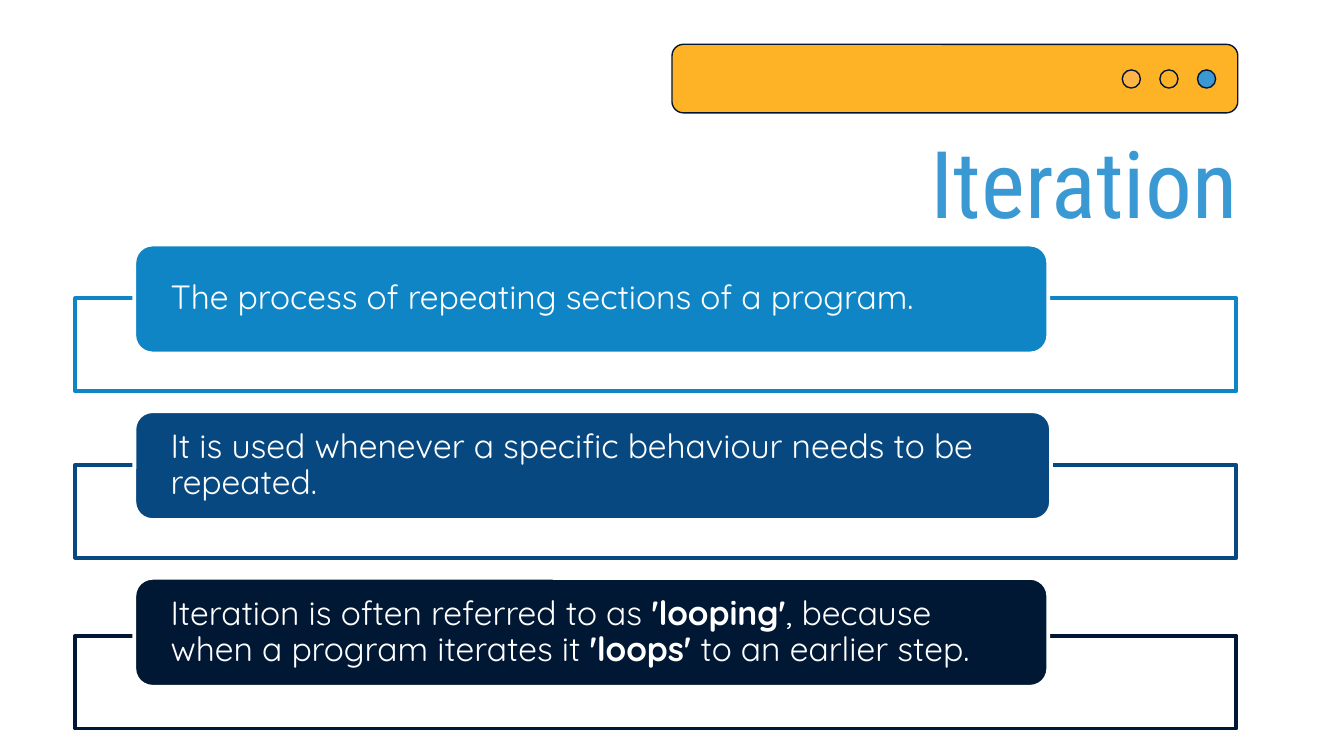
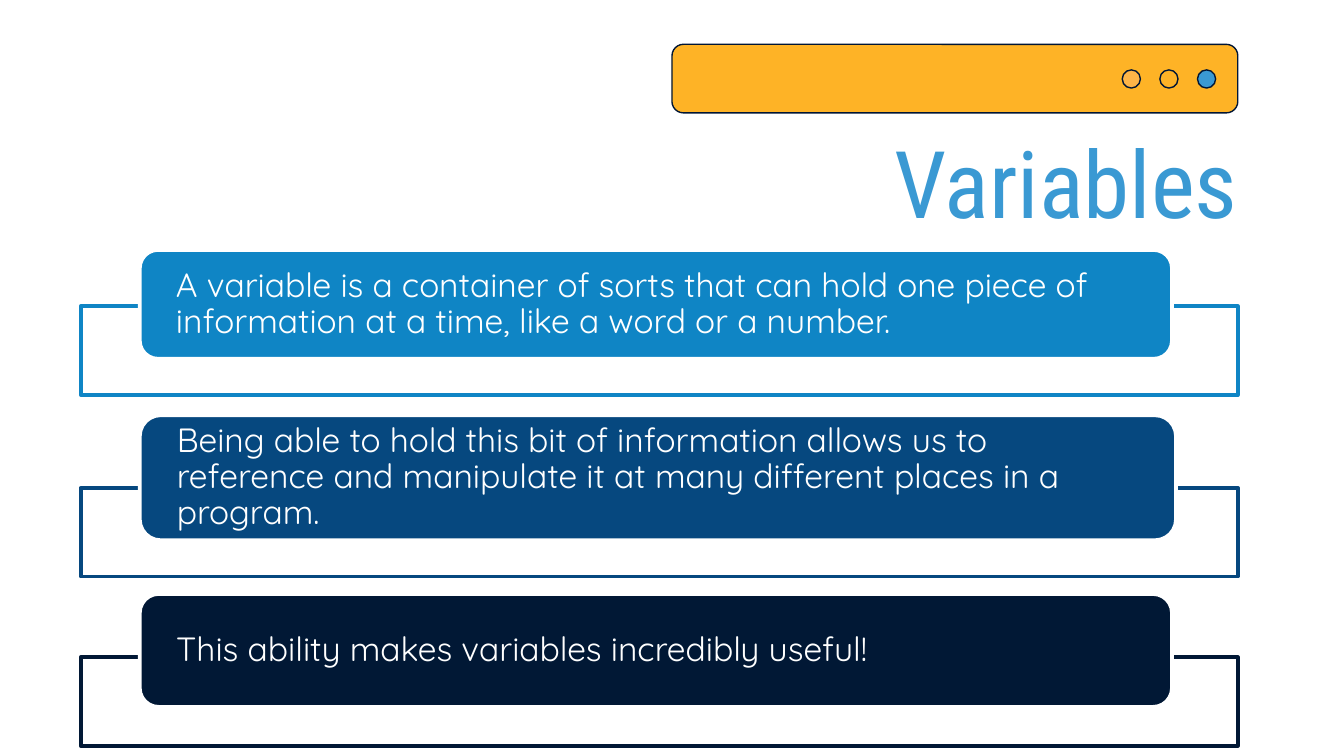
from lxml.etree import SubElement
from pptx import Presentation
from pptx.dml.color import RGBColor
from pptx.enum.shapes import MSO_SHAPE as Preset
from pptx.enum.text import MSO_ANCHOR as Anchor, PP_ALIGN as Align
from pptx.oxml.ns import qn
from pptx.util import Inches, Pt

# Grid: 100 columns across the slide, each row as tall as a column is wide
CELL = Inches(0.1)
COLUMNS, ROWS = 100, 56.25

WHITE, INK = "FFFFFF", "011635"
ORANGE, PALE_ORANGE, SKY = "FEB326", "FEB548", "3A99D3"
CARD_COLORS = ("0F85C5", "06487F", "011835")


def cells(*counts):
    return [round(count * CELL) for count in counts]


def color(hex_string):
    return RGBColor.from_string(hex_string)


class Deck:
    title_font, body_font = "Roboto Condensed", "Quicksand"
    title_size, body_size = Pt(50), Pt(18)

    def __init__(self):
        self.presentation = Presentation()
        self.presentation.slide_width, self.presentation.slide_height = cells(COLUMNS, ROWS)
        self.slide = None

    def new_slide(self, title):
        self.slide = self.presentation.slides.add_slide(self.presentation.slide_layouts[6])
        self.title(title)
        self.window_bar()

    def shape(self, preset, box, fill, line, line_width, opacity=None):
        shape = self.slide.shapes.add_shape(preset, *cells(*box))
        shape.shadow.inherit = False
        shape.fill.solid()
        shape.fill.fore_color.rgb = color(fill)
        shape.line.color.rgb = color(line)
        shape.line.width = Pt(line_width)
        if opacity is not None:
            fill_color = shape.fill._xPr.find(qn("a:solidFill"))[0]
            SubElement(fill_color, qn("a:alpha"), val=str(opacity * 1000))
        return shape

    def text(self, shape, text, font_name, size, font_color, align, side_inset=0):
        """Write one paragraph; parts between asterisks are bold."""
        frame = shape.text_frame
        frame.word_wrap = True
        frame.vertical_anchor = Anchor.MIDDLE
        frame.margin_left = frame.margin_right = cells(side_inset)[0]
        frame.margin_top = frame.margin_bottom = 0
        paragraph = frame.paragraphs[0]
        paragraph.alignment = align
        paragraph.font.name = font_name
        paragraph.font.size = size
        paragraph.font.color.rgb = color(font_color)
        for index, part in enumerate(text.split("*")):
            run = paragraph.add_run()
            run.text = part
            if index % 2:
                run.font.bold = True
        return paragraph

    def title(self, text):
        box = self.slide.shapes.add_textbox(*cells(53.7, 8.9, 38.4, 9.2))
        self.text(box, text, self.title_font, self.title_size, SKY, Align.RIGHT)

    def window_bar(self):
        self.shape(Preset.ROUNDED_RECTANGLE, (50, 3.3, 42.1, 5.1), ORANGE, INK, 0.75)
        for index, fill in enumerate((PALE_ORANGE, ORANGE, SKY)):
            self.shape(Preset.OVAL, (83.5 + 2.8 * index, 5.2, 1.35, 1.35), fill, INK, 0.75)

    def card(self, text, fill, frame_box, card_box):
        self.shape(Preset.RECTANGLE, frame_box, WHITE, fill, 2, opacity=90)
        card = self.shape(Preset.ROUNDED_RECTANGLE, card_box, fill, WHITE, 2)
        paragraph = self.text(card, text, self.body_font, self.body_size, WHITE,
                              Align.LEFT, side_inset=2.3)
        paragraph.line_spacing = 0.9

    def card_list(self, left, frame_width, frame_height, cards):
        """Stack cards given as text, frame top, card top, width and height."""
        for fill, (text, frame_top, top, width, height) in zip(CARD_COLORS, cards):
            self.card(text, fill, (left, frame_top, frame_width, frame_height),
                      (left + 4.4, top, width, height))


def main():
    deck = Deck()

    # Iteration
    deck.new_slide("Iteration")
    deck.card_list(5.6, 86.4, 6.9, [
        ("The process of repeating sections of a program.",
         22.2, 18.2, 68, 8.1),
        ("It is used whenever a specific behaviour needs to be repeated.",
         34.6, 30.6, 68.2, 8.1),
        ("Iteration is often referred to as *'looping'*, because when a program "
         "iterates it *'loops' *to an earlier step.",
         47.3, 43, 68, 8.1),
    ])

    # Variables
    deck.new_slide("Variables")
    deck.card_list(6, 86.1, 6.6, [
        ("A variable is a container of sorts that can hold one piece of "
         "information at a time, like a word or a number.",
         22.8, 18.6, 76.8, 8.1),
        ("Being able to hold this bit of information allows us to reference and "
         "manipulate it at many different places in a program.",
         36.3, 30.9, 77.1, 9.3),
        ("This ability makes variables incredibly useful!",
         48.9, 44.2, 76.8, 8.4),
    ])

    deck.presentation.save("out.pptx")


if __name__ == "__main__":
    main()
